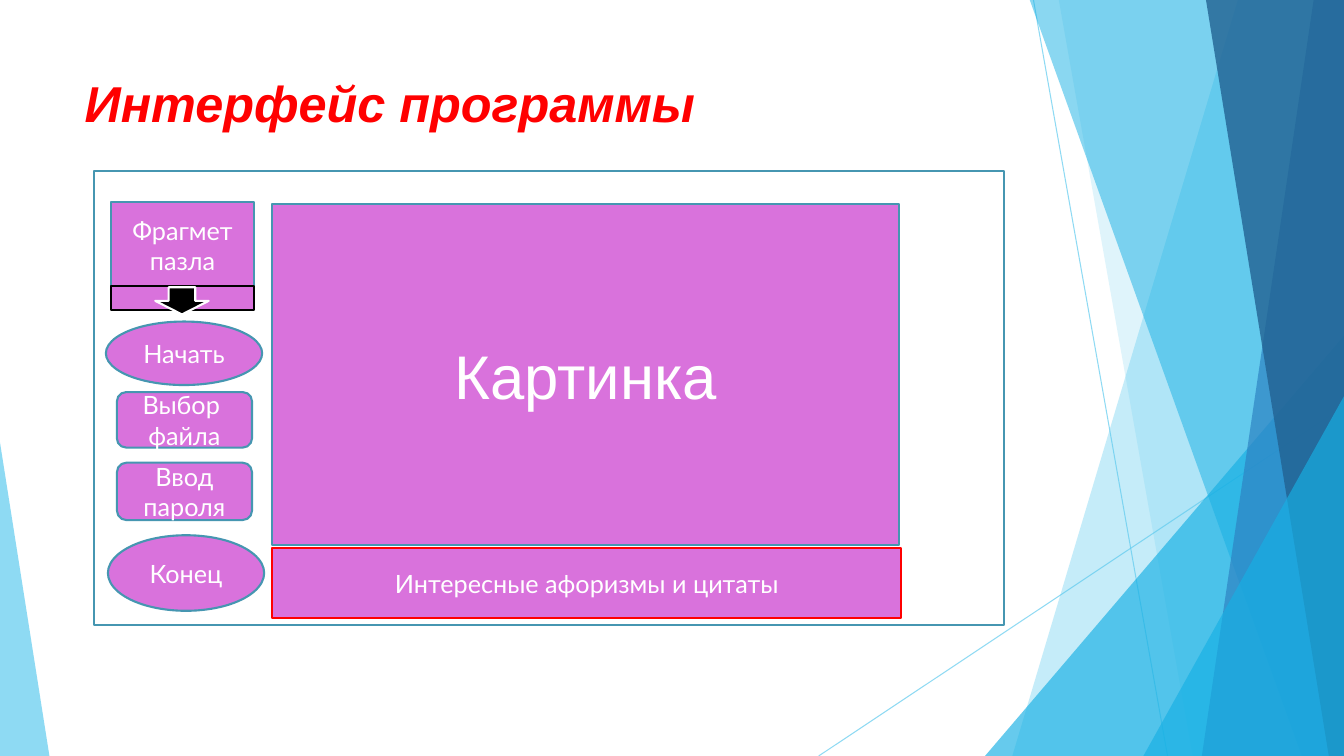
from dataclasses import dataclass

from lxml.etree import SubElement
from pptx import Presentation
from pptx.dml.color import RGBColor
from pptx.enum.shapes import MSO_CONNECTOR as Connector, MSO_SHAPE as Preset
from pptx.enum.text import MSO_ANCHOR as Anchor, PP_ALIGN as Align
from pptx.oxml.ns import qn
from pptx.util import Inches, Pt

WIDTH, HEIGHT = 13.33, 7.5
COLORS = {
    "sky": "5FCBEF", "cyan": "17B0E4", "blue": "2E83C3", "navy": "226292",
    "orchid": "D972DC", "teal": "4696B1", "red": "FF0000",
    "black": "000000", "white": "FFFFFF",
}


@dataclass
class Ray:
    start: tuple[float, float]
    end: tuple[float, float]


@dataclass
class Facet:
    """A band from the top edge to the bottom edge, ending at the right side."""
    top_x: float
    bottom_x: float
    color: str
    opacity: int


@dataclass
class Corner:
    """A triangle standing on the bottom edge; apex is 0 for left, 1 for right."""
    left: float
    top: float
    width: float
    apex: int
    color: str
    opacity: int


@dataclass
class Block:
    preset: Preset
    box: tuple[float, float, float, float]
    lines: tuple[str, ...] = ()
    fill: str = "orchid"
    outline: str = "teal"
    size: int = 18
    font: str = "Lato"


RAYS = [Ray((10.25, 0), (11.58, HEIGHT)), Ray((WIDTH, 4.03), (8.12, HEIGHT))]

# Back to front
DECORATION = [
    Facet(12.28, 10.04, "sky", 36),
    Facet(10.5, 11.83, "sky", 20),
    Corner(9.77, 3.33, 3.56, 1, "cyan", 66),
    Facet(10.21, 12.91, "cyan", 50),
    Facet(13.03, 11.92, "blue", 70),
    Facet(11.96, 13.18, "navy", 80),
    Corner(11.34, 3.93, 1.99, 1, "cyan", 66),
    Corner(0, 4.39, 0.49, 0, "sky", 70),
]

BLOCKS = [
    Block(Preset.RECTANGLE, (0.93, 1.7, 9.03, 4.5), fill="white"),
    Block(Preset.RECTANGLE, (2.7, 2.02, 6.22, 3.39), ("Картинка",), size=44, font="Arial"),
    Block(Preset.RECTANGLE, (1.1, 2, 1.42, 0.87), ("Фрагмет", "пазла")),
    Block(Preset.RECTANGLE, (1.1, 2.84, 1.42, 0.24), outline="black"),
    Block(Preset.DOWN_ARROW, (1.54, 2.85, 0.53, 0.27), fill="black", outline="white"),
    Block(Preset.OVAL, (1.05, 3.19, 1.55, 0.63), ("Начать",)),
    Block(Preset.ROUNDED_RECTANGLE, (1.16, 3.89, 1.34, 0.55), ("Выбор ", "файла")),
    Block(Preset.ROUNDED_RECTANGLE, (1.16, 4.59, 1.34, 0.57), ("Ввод пароля",)),
    Block(Preset.RECTANGLE, (2.7, 5.44, 6.24, 0.69), ("Интересные афоризмы и цитаты",),
          outline="red"),
    Block(Preset.OVAL, (1.07, 5.31, 1.55, 0.75), ("Конец",)),
]


def rgb(name: str) -> RGBColor:
    return RGBColor.from_string(COLORS[name])


def set_opacity(shape, percent: int) -> None:
    color = shape._element.spPr.find(".//" + qn("a:srgbClr"))
    SubElement(color, qn("a:alpha"), val=str(percent * 1000))


def paint(shape, color: str) -> None:
    shape.shadow.inherit = False
    shape.fill.solid()
    shape.fill.fore_color.rgb = rgb(color)


def write(frame, lines: tuple[str, ...], color: str, align: Align, **font_format) -> None:
    frame.word_wrap = True
    for index, line in enumerate(lines):
        paragraph = frame.paragraphs[0] if index == 0 else frame.add_paragraph()
        paragraph.alignment = align
        run = paragraph.add_run()
        run.text = line
        run.font.color.rgb = rgb(color)
        for name, value in font_format.items():
            setattr(run.font, name, value)


def add_ray(slide, ray: Ray) -> None:
    points = [Inches(value) for value in ray.start + ray.end]
    connector = slide.shapes.add_connector(Connector.STRAIGHT, *points)
    connector.line.color.rgb = rgb("sky")
    connector.line.width = Pt(0.75)
    set_opacity(connector, 70)
    SubElement(connector._element.spPr, qn("a:effectLst"))


def add_decoration(slide, part: Facet | Corner) -> None:
    if isinstance(part, Facet):
        outline = [(part.top_x, -0.01), (WIDTH, -0.01), (WIDTH, HEIGHT), (part.bottom_x, HEIGHT)]
        points = [(Inches(x), Inches(y)) for x, y in outline]
        builder = slide.shapes.build_freeform(*points[0])
        builder.add_line_segments(points[1:], close=True)
        shape = builder.convert_to_shape()
    else:
        box = (part.left, part.top, part.width, HEIGHT - part.top)
        shape = slide.shapes.add_shape(Preset.ISOSCELES_TRIANGLE, *map(Inches, box))
        shape.adjustments[0] = part.apex
    paint(shape, part.color)
    set_opacity(shape, part.opacity)
    shape.line.fill.background()


def add_block(slide, block: Block) -> None:
    shape = slide.shapes.add_shape(block.preset, *map(Inches, block.box))
    paint(shape, block.fill)
    shape.line.color.rgb = rgb(block.outline)
    shape.line.width = Pt(1.5)
    shape.text_frame.vertical_anchor = Anchor.MIDDLE
    write(shape.text_frame, block.lines, "white", Align.CENTER,
          size=Pt(block.size), name=block.font)


def main() -> None:
    presentation = Presentation()
    presentation.slide_width = Inches(WIDTH)
    presentation.slide_height = Inches(HEIGHT)
    slide = presentation.slides.add_slide(presentation.slide_layouts[6])

    # Background decoration
    for ray in RAYS:
        add_ray(slide, ray)
    for part in DECORATION:
        add_decoration(slide, part)

    # Title
    title = slide.shapes.add_textbox(*map(Inches, (0.74, 0.67, 9.4, 1.44)))
    write(title.text_frame, ("Интерфейс программы",), "red", Align.LEFT,
          size=Pt(36), name="Arial", bold=True, italic=True)

    # Interface mock-up
    for block in BLOCKS:
        add_block(slide, block)

    presentation.save("out.pptx")


if __name__ == "__main__":
    main()
